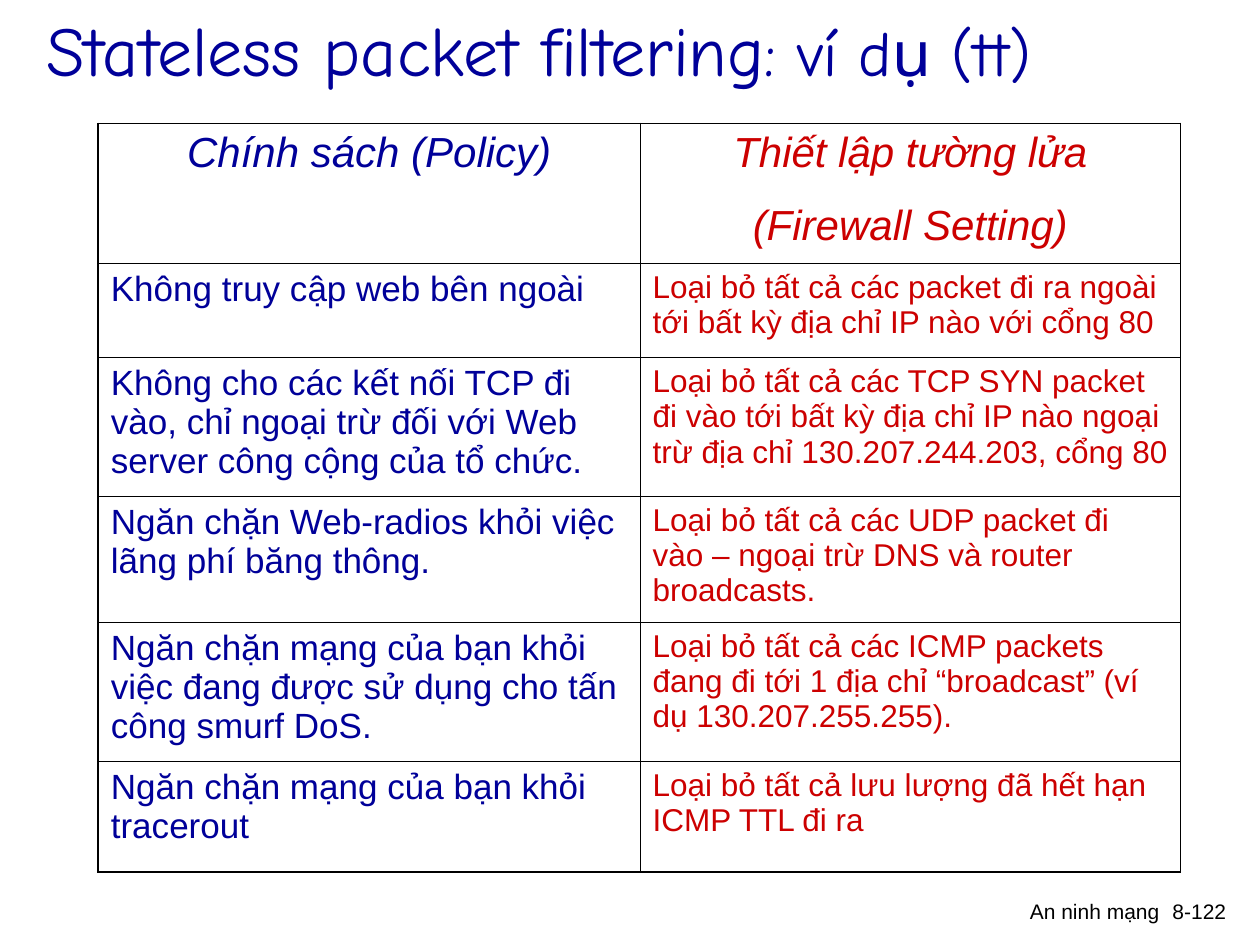
import pptx
import pptx.util
import pptx.dml.color
import pptx.enum.text
import pptx.oxml.ns
import lxml.etree

Inches = pptx.util.Inches
Pt = pptx.util.Pt
RGBColor = pptx.dml.color.RGBColor
PP_ALIGN = pptx.enum.text.PP_ALIGN
MSO_ANCHOR = pptx.enum.text.MSO_ANCHOR
qn = pptx.oxml.ns.qn

NAVY = RGBColor(0x00, 0x00, 0x99)
RED = RGBColor(0xCC, 0x00, 0x00)
BLACK = RGBColor(0x00, 0x00, 0x00)
OUTER_LINE = Pt(1.08)
INNER_LINE = Pt(0.45)

COLUMN_WIDTHS = [4.3, 4.29]
ROW_HEIGHTS = [1.11, 0.75, 1.1, 1, 1.1, 0.88]
HEADERS = [["Chính sách (Policy)"], ["Thiết lập tường lửa", "(Firewall Setting)"]]
RULES = [
    ("Không truy cập web bên ngoài",
     "Loại bỏ tất cả các packet đi ra ngoài tới bất kỳ địa chỉ IP nào với cổng 80"),
    ("Không cho các kết nối TCP đi vào, chỉ ngoại trừ đối với Web server công cộng của tổ chức.",
     "Loại bỏ tất cả các TCP SYN packet đi vào tới bất kỳ địa chỉ IP nào ngoại trừ địa chỉ 130.207.244.203, cổng 80"),
    ("Ngăn chặn Web-radios khỏi việc lãng phí băng thông.",
     "Loại bỏ tất cả các UDP packet đi vào – ngoại trừ DNS và router broadcasts."),
    ("Ngăn chặn mạng của bạn khỏi việc đang được sử dụng cho tấn công smurf DoS.",
     "Loại bỏ tất cả các ICMP packets đang đi tới 1 địa chỉ “broadcast” (ví dụ 130.207.255.255)."),
    ("Ngăn chặn mạng của bạn khỏi tracerout",
     "Loại bỏ tất cả lưu lượng đã hết hạn ICMP TTL đi ra"),
]


def add_run(p, text, size, color, font="Arial", italic=False):
    r = p.add_run()
    r.text = text
    r.font.size = Pt(size)
    r.font.name = font
    r.font.italic = italic
    r.font.color.rgb = color


def write_paragraphs(tf, lines, align=PP_ALIGN.LEFT, after=0, **run_format):
    for i, line in enumerate(lines):
        p = tf.add_paragraph() if i else tf.paragraphs[0]
        p.alignment = align
        p.space_after = Pt(after)
        add_run(p, line, **run_format)


def add_text_box(s, left, top, width, height, anchor=MSO_ANCHOR.TOP):
    sp = s.shapes.add_textbox(Inches(left), Inches(top), Inches(width), Inches(height))
    tf = sp.text_frame
    tf.word_wrap = True
    tf.vertical_anchor = anchor
    return tf


def set_borders(cell, widths):
    tc_pr = cell._tc.get_or_add_tcPr()
    for i, (side, width) in enumerate(widths.items()):
        ln = lxml.etree.Element(qn(f"a:ln{side}"), w=str(int(width)))
        fill = lxml.etree.SubElement(ln, qn("a:solidFill"))
        lxml.etree.SubElement(fill, qn("a:srgbClr"), val=str(BLACK))
        tc_pr.insert(i, ln)


def add_policy_table(s):
    rows, cols = len(ROW_HEIGHTS), len(COLUMN_WIDTHS)
    table = s.shapes.add_table(
        rows, cols, Inches(0.78), Inches(0.98),
        Inches(sum(COLUMN_WIDTHS)), Inches(sum(ROW_HEIGHTS))).table
    for column, width in zip(table.columns, COLUMN_WIDTHS):
        column.width = Inches(width)
    for row, height in zip(table.rows, ROW_HEIGHTS):
        row.height = Inches(height)

    for c, (color, size, after) in enumerate([(NAVY, 20, 12.5), (RED, 18, 11.2)]):
        write_paragraphs(table.cell(0, c).text_frame, HEADERS[c], align=PP_ALIGN.CENTER,
                         after=15, size=24, color=color, italic=True)
        for r, rule in enumerate(RULES, start=1):
            write_paragraphs(table.cell(r, c).text_frame, [rule[c]],
                             after=after, size=size, color=color)

    for r in range(rows):
        for c in range(cols):
            cell = table.cell(r, c)
            cell.fill.background()
            edges = {"L": c == 0, "R": c == cols - 1, "T": r == 0, "B": r == rows - 1}
            set_borders(cell, {side: OUTER_LINE if outer else INNER_LINE
                               for side, outer in edges.items()})


def add_title(s):
    tf = add_text_box(s, 0.27, -0.24, 9.61, 1.25, anchor=MSO_ANCHOR.MIDDLE)
    p = tf.paragraphs[0]
    add_run(p, "Stateless packet filtering", 40, NAVY, font="Comic Neue")
    add_run(p, ": ví dụ (tt)", 36, NAVY, font="Comic Neue")


def add_footer(s):
    for text, left, width in [("8-122", 9.09, 0.74), ("An ninh mạng", 5.08, 4.22)]:
        tf = add_text_box(s, left, 7.08, width, 0.33)
        write_paragraphs(tf, [text], align=PP_ALIGN.RIGHT, size=12, color=BLACK)


def main():
    prs = pptx.Presentation()
    prs.slide_width = Inches(10)
    prs.slide_height = Inches(7.5)
    s = prs.slides.add_slide(prs.slide_layouts[6])
    add_footer(s)
    add_policy_table(s)
    add_title(s)
    prs.save("out.pptx")


if __name__ == "__main__":
    main()
